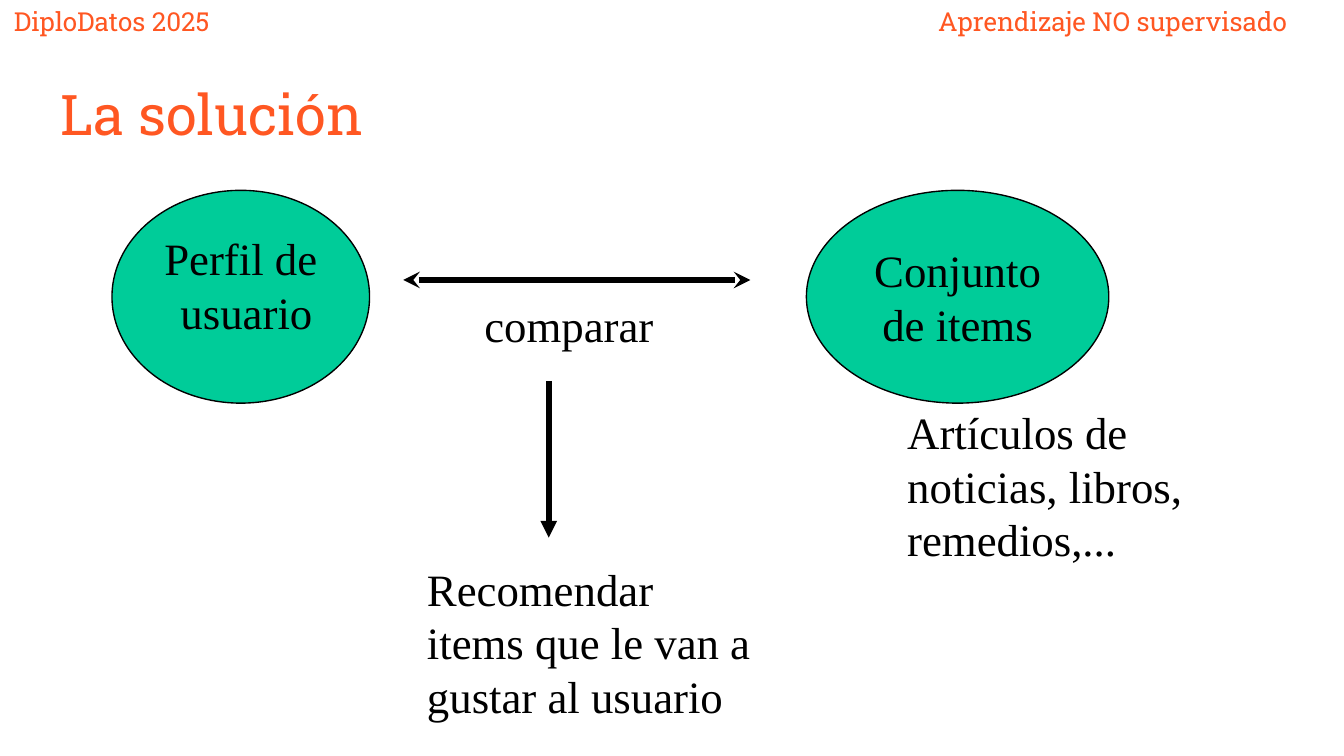
from dataclasses import dataclass
from typing import Optional

from lxml import etree
from pptx import Presentation, util as u
from pptx.dml.color import RGBColor
from pptx.enum import shapes, text
from pptx.oxml import ns

PX = 9525  # EMU per px: 96 px to the inch
COLORS = {"accent": "FF5722", "ink": "000000", "node": "00CC99"}


@dataclass
class Style:
    font: str
    size: int
    color: str
    inset: int  # top and bottom margin


@dataclass
class Label:
    box: tuple[int, int, int, int]
    lines: list[str]
    style: Style
    align: text.PP_ALIGN = text.PP_ALIGN.LEFT


@dataclass
class Ellipse:
    box: tuple[int, int, int, int]
    caption: str = ""


@dataclass
class Arrow:
    start: tuple[int, int]
    end: tuple[int, int]
    tail: str
    head: Optional[str] = None


HEADER = Style("Roboto Slab", 14, "accent", 10)
TITLE = Style("Roboto Slab", 30, "accent", 10)
BODY = Style("Times New Roman", 24, "ink", 5)

ELLIPSES = [
    Ellipse((80, 136, 184, 152)),
    Ellipse((576, 136, 216, 152), "Conjunto de items"),
]
ARROWS = [
    Arrow((288, 200), (536, 200), "stealth", "stealth"),
    Arrow((392, 272), (392, 384), "triangle"),
]
LABELS = [
    Label((0, -6, 196, 33), ["DiploDatos 2025"], HEADER),
    Label((660, -6, 304, 33), ["Aprendizaje NO supervisado"], HEADER),
    Label((33, 47, 895, 60), ["La solución"], TITLE),
    Label((336, 208, 184, 48), ["comparar"], BODY),
    Label((295, 396, 257, 86),
          ["Recomendar items que le van a gustar al usuario"], BODY),
    Label((638, 284, 286, 125),
          ["Artículos de noticias, libros, remedios,..."], BODY),
    Label((48, 160, 256, 144), ["Perfil de ", "usuario"], BODY,
          text.PP_ALIGN.CENTER),
]


def px(*lengths: int) -> list[u.Emu]:
    return [u.Emu(n * PX) for n in lengths]


def rgb(name: str) -> RGBColor:
    return RGBColor.from_string(COLORS[name])


def write(tf, lines: list[str], style: Style, align: text.PP_ALIGN,
          anchor: text.MSO_ANCHOR) -> None:
    side, edge = px(10, style.inset)
    frame = {"word_wrap": True, "vertical_anchor": anchor,
             "margin_left": side, "margin_right": side,
             "margin_top": edge, "margin_bottom": edge}
    for name, value in frame.items():
        setattr(tf, name, value)
    for i, line in enumerate(lines):
        p = tf.add_paragraph() if i else tf.paragraphs[0]
        p.alignment = align
        r = p.add_run()
        r.text = line
        for name, value in {"name": style.font, "size": u.Pt(style.size)}.items():
            setattr(r.font, name, value)
        r.font.color.rgb = rgb(style.color)


def draw_ellipse(s, item: Ellipse) -> None:
    sp = s.shapes.add_shape(shapes.MSO_SHAPE.OVAL, *px(*item.box))
    sp.shadow.inherit = False
    sp.fill.solid()
    sp.fill.fore_color.rgb = rgb("node")
    sp.line.color.rgb = rgb("ink")
    sp.line.width = u.Pt(0.75)
    if item.caption:
        write(sp.text_frame, [item.caption], BODY, text.PP_ALIGN.CENTER,
              text.MSO_ANCHOR.MIDDLE)


def draw_arrow(s, item: Arrow) -> None:
    line = s.shapes.add_connector(shapes.MSO_CONNECTOR.STRAIGHT,
                                  *px(*item.start, *item.end))
    line.line.color.rgb = rgb("ink")
    line.line.width = u.Pt(3)
    ln = line.line._get_or_add_ln()
    for tag, kind in (("a:headEnd", item.head), ("a:tailEnd", item.tail)):
        if kind:
            etree.SubElement(ln, ns.qn(tag), type=kind)
    etree.SubElement(line._element.spPr, ns.qn("a:effectLst"))


def draw_label(s, item: Label) -> None:
    sp = s.shapes.add_textbox(*px(*item.box))
    write(sp.text_frame, item.lines, item.style, item.align,
          text.MSO_ANCHOR.TOP)


def main() -> None:
    prs = Presentation()
    prs.slide_width, prs.slide_height = px(960, 540)
    s = prs.slides.add_slide(prs.slide_layouts[6])

    # Profile and item set
    for ellipse in ELLIPSES:
        draw_ellipse(s, ellipse)

    # Comparison and its outcome
    for arrow in ARROWS:
        draw_arrow(s, arrow)

    # Header, title and captions
    for label in LABELS:
        draw_label(s, label)

    prs.save("out.pptx")


if __name__ == "__main__":
    main()
